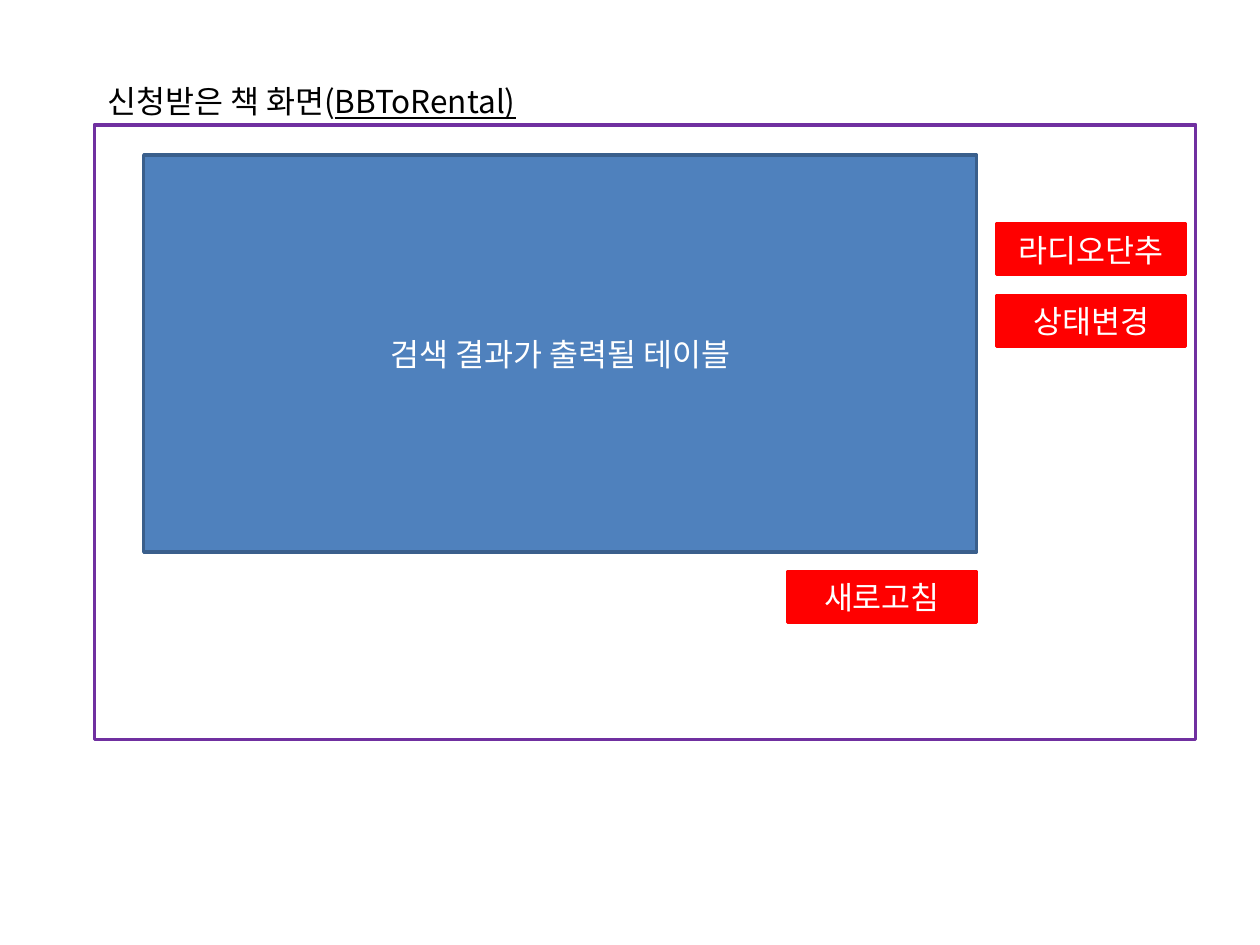
from dataclasses import dataclass

from lxml import etree
from pptx import Presentation
from pptx.dml.color import RGBColor
from pptx.enum.shapes import MSO_SHAPE
from pptx.enum.text import MSO_ANCHOR, MSO_AUTO_SIZE, PP_ALIGN
from pptx.oxml.ns import qn
from pptx.util import Inches, Pt

RECTANGLE = MSO_SHAPE.RECTANGLE
LEFT, CENTER = PP_ALIGN.LEFT, PP_ALIGN.CENTER
TOP, MIDDLE = MSO_ANCHOR.TOP, MSO_ANCHOR.MIDDLE
TITLE_ONLY = 5


@dataclass(frozen=True)
class Theme:
    font: str = "Noto Sans CJK KR"
    size: int = 18
    line: int = 2
    ink: str = "000000"
    light: str = "FFFFFF"
    frame: str = "7030A0"
    table: str = "4F81BD"
    table_edge: str = "3A5F8C"
    button: str = "FF0000"


theme = Theme()


def write(box, *texts, color=theme.light, align=CENTER, anchor=MIDDLE, underlined=()):
    frame = box.text_frame
    frame.vertical_anchor = anchor
    para = frame.paragraphs[0]
    para.alignment = align
    for text in texts:
        span = para.add_run()
        span.text = text
        span.font.name = theme.font
        span.font.size = Pt(theme.size)
        span.font.color.rgb = RGBColor.from_string(color)
        if text in underlined:
            span.font.underline = True
        east_asian = etree.SubElement(span.font._element, qn("a:ea"))
        east_asian.set("typeface", theme.font)


def add_box(left, top, width, height, edge, fill=None):
    box = page.shapes.add_shape(
        RECTANGLE, Inches(left), Inches(top), Inches(width), Inches(height))
    box.shadow.inherit = False
    if fill:
        box.fill.solid()
        box.fill.fore_color.rgb = RGBColor.from_string(fill)
    else:
        box.fill.background()
    box.line.color.rgb = RGBColor.from_string(edge)
    box.line.width = Pt(theme.line)
    return box


deck = Presentation()
deck.slide_width, deck.slide_height = Inches(10), Inches(7.5)
page = deck.slides.add_slide(deck.slide_layouts[TITLE_ONLY])

# Grid: window frame, result table and button columns
frame_left, frame_top = 0.75, 0.99
table_left, table_top, table_width, table_height = 1.14, 1.23, 6.61, 3.15
button_width, button_height, gap = 1.5, 0.4, 0.16
table_right = table_left + table_width
side_left = table_right + gap
side_top, side_pitch = 1.78, 0.57

# Title above the window
title = page.shapes.title
title.left, title.top = Inches(frame_left), Inches(0.6)
title.width, title.height = Inches(3.55), Inches(0.4)
title.text_frame.word_wrap = False
title.text_frame.auto_size = MSO_AUTO_SIZE.SHAPE_TO_FIT_TEXT
write(title, "신청받은 책 화면(", "BBToRental)", color=theme.ink,
      align=LEFT, anchor=TOP, underlined=("BBToRental)",))

# Window and result table
add_box(frame_left, frame_top, 8.74, 4.88, theme.frame)
table_area = add_box(table_left, table_top, table_width, table_height,
                     theme.table_edge, theme.table)
write(table_area, "검색 결과가 출력될 테이블")

# Buttons: two beside the table, one under its right edge
buttons = [
    ("라디오단추", side_left, side_top),
    ("상태변경", side_left, side_top + side_pitch),
    ("새로고침", table_right - button_width, table_top + table_height + gap),
]
for label, left, top in buttons:
    button = add_box(left, top, button_width, button_height, theme.button, theme.button)
    write(button, label)

deck.save("out.pptx")
